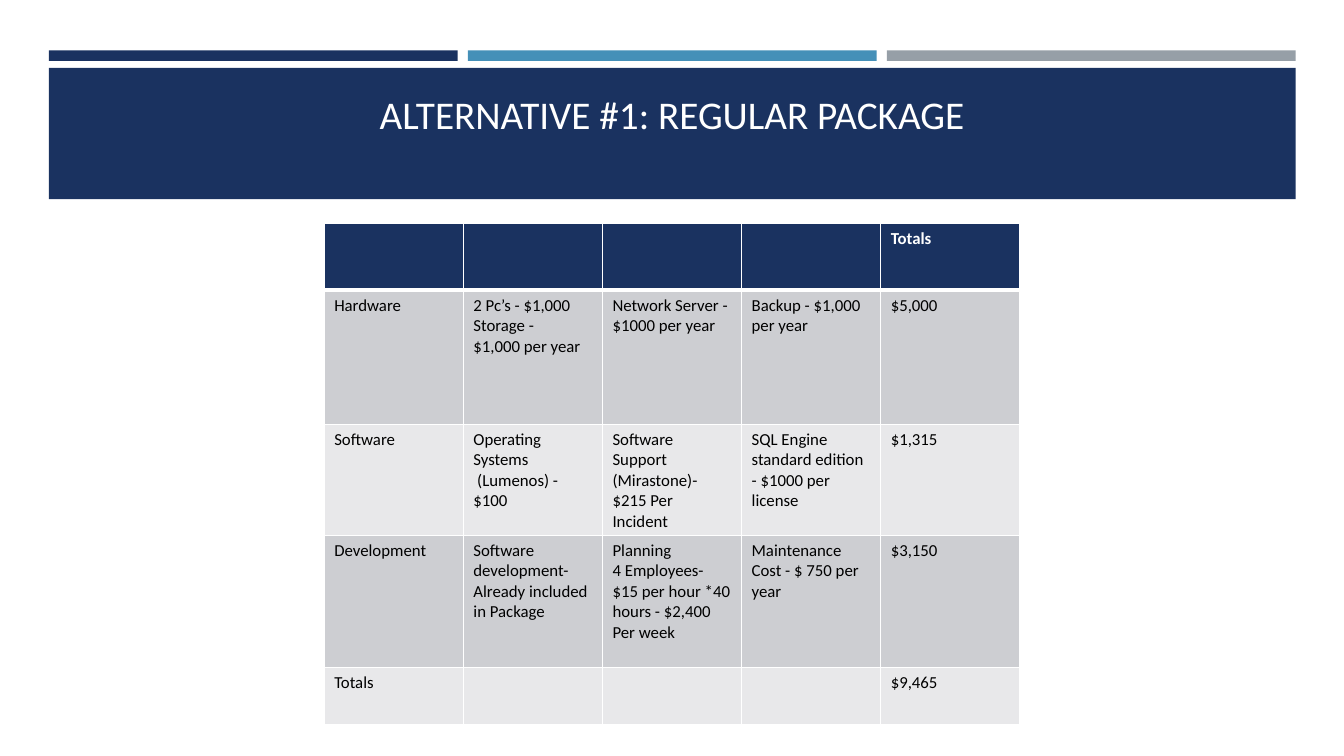
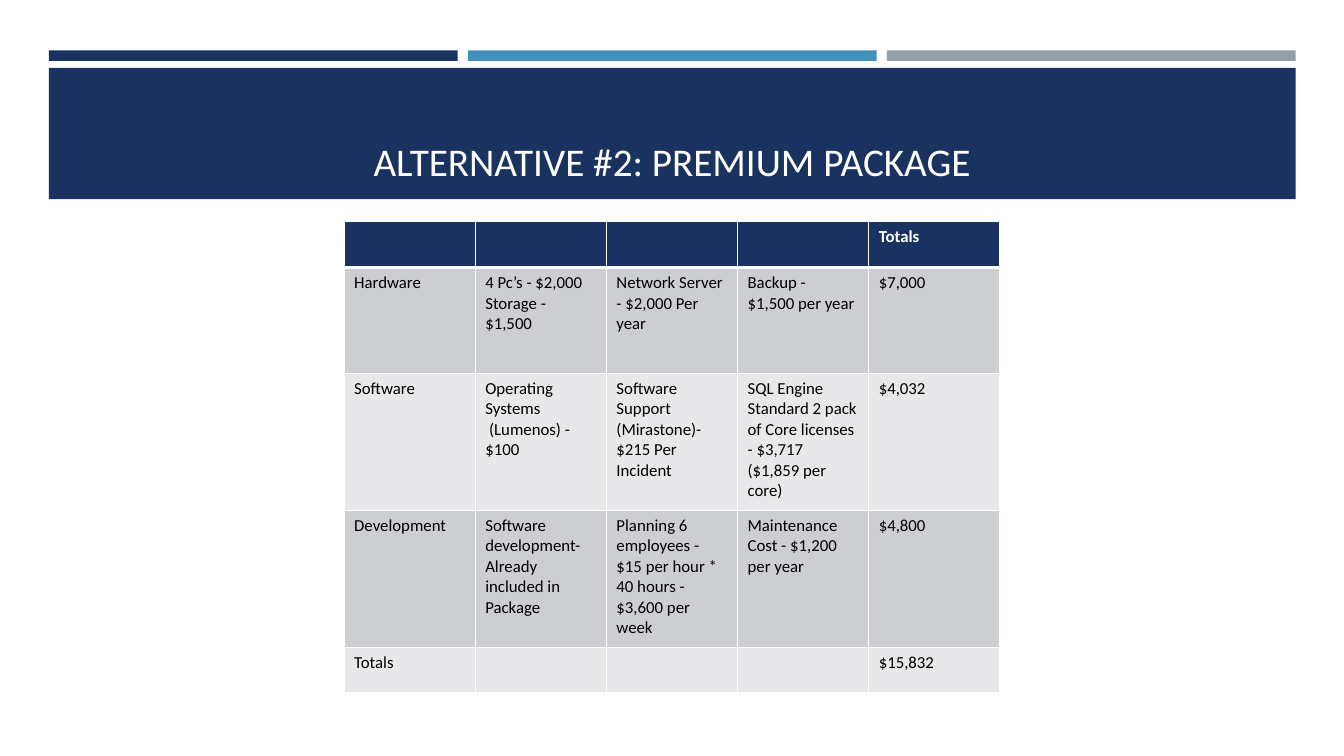
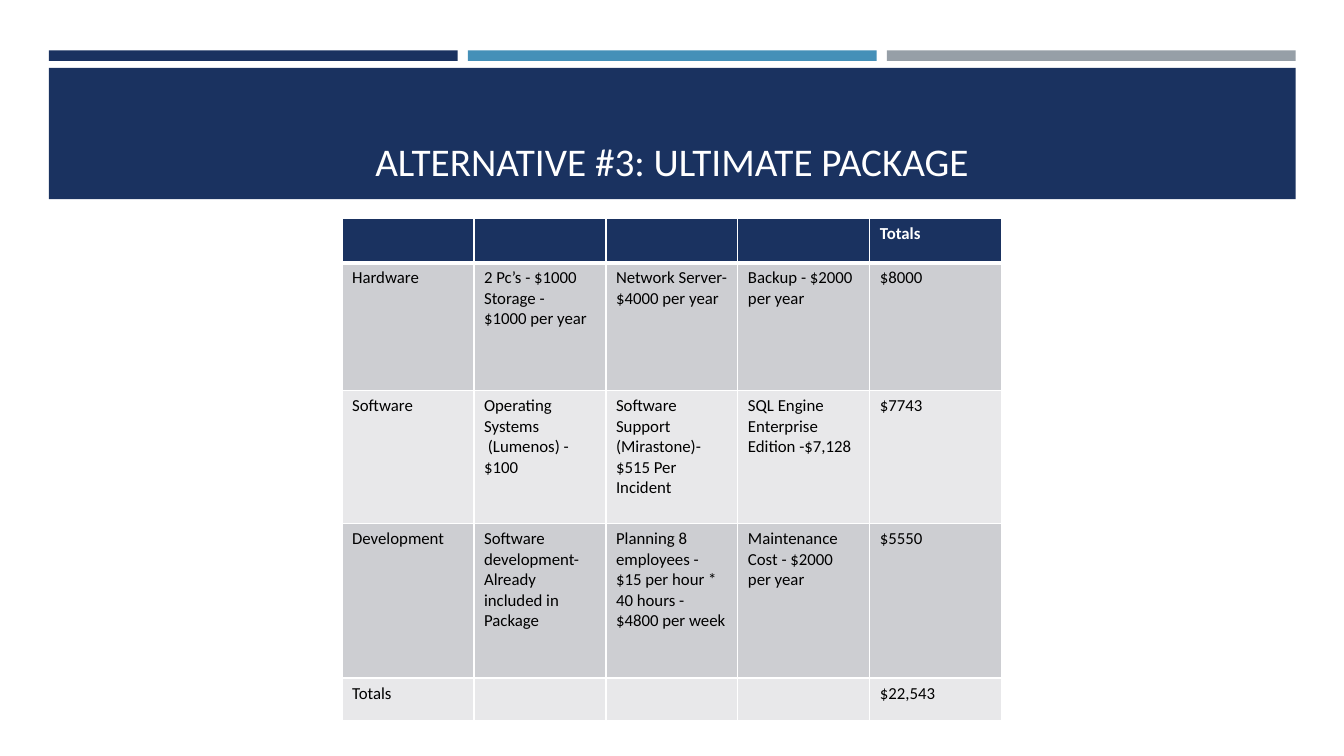
from dataclasses import dataclass

from lxml.etree import SubElement
from pptx import Presentation
from pptx.dml.color import RGBColor
from pptx.enum.shapes import MSO_SHAPE
from pptx.enum.text import MSO_ANCHOR, PP_ALIGN
from pptx.oxml.ns import qn
from pptx.util import Inches, Pt


@dataclass(frozen=True)
class Theme:
    font: str = "Calibri"
    title_size: int = 28
    cell_size: int = 12
    navy: str = "1A3260"
    blue: str = "4590B8"
    grey: str = "969FA7"
    row_fills: tuple = ("CDCED2", "E8E8EA")
    white: str = "FFFFFF"
    black: str = "000000"
    thin_border: int = 1
    header_border: int = 3


@dataclass(frozen=True)
class Package:
    title: str
    title_lift: float
    table_top: float
    table_width: float
    row_heights: tuple
    hardware: tuple
    software: tuple
    development: tuple
    total: str

    def rows(self):
        return (
            ("", "", "", "", "Totals"),
            ("Hardware", *self.hardware),
            ("Software", OPERATING_SYSTEM, *self.software),
            ("Development", INCLUDED, *self.development),
            ("Totals", "", "", "", self.total),
        )


OPERATING_SYSTEM = "Operating Systems\n (Lumenos) - $100"
INCLUDED = "Software development- Already included in Package"
SUPPORT = "Software Support (Mirastone)- ${} Per Incident"

PACKAGES = (
    Package(
        title="ALTERNATIVE #1: REGULAR PACKAGE",
        title_lift=6.25,
        table_top=29.6,
        table_width=51.76,
        row_heights=(8.8, 17.73, 12.4, 17.47, 7.6),
        hardware=(
            "2 Pc’s - $1,000\nStorage -\n$1,000 per year",
            "Network Server - $1000 per year",
            "Backup - $1,000 per year",
            "$5,000",
        ),
        software=(
            SUPPORT.format(215),
            "SQL Engine standard edition - $1000 per license",
            "$1,315",
        ),
        development=(
            "Planning\n4 Employees- $15 per hour *40 hours - $2,400 Per week",
            "Maintenance Cost - $ 750 per year",
            "$3,150",
        ),
        total="$9,465",
    ),
    Package(
        title="ALTERNATIVE #2: PREMIUM PACKAGE",
        title_lift=0,
        table_top=29.3,
        table_width=48.8,
        row_heights=(6.1, 14, 18.13, 18.13, 6),
        hardware=(
            "4 Pc’s - $2,000\nStorage -\n$1,500",
            "Network Server - $2,000 Per year",
            "Backup -\n$1,500 per year",
            "$7,000",
        ),
        software=(
            SUPPORT.format(215),
            "SQL Engine Standard 2 pack of Core licenses - $3,717 ($1,859 per core)",
            "$4,032",
        ),
        development=(
            "Planning 6 employees - $15 per hour * 40 hours - $3,600 per week",
            "Maintenance Cost - $1,200 per year",
            "$4,800",
        ),
        total="$15,832",
    ),
    Package(
        title="ALTERNATIVE #3: ULTIMATE PACKAGE",
        title_lift=0,
        table_top=28.9,
        table_width=49.1,
        row_heights=(5.87, 16.93, 17.6, 20.4, 5.6),
        hardware=(
            "2 Pc’s - $1000\nStorage -\n$1000 per year",
            "Network Server- $4000 per year",
            "Backup - $2000 per year",
            "$8000",
        ),
        software=(
            SUPPORT.format(515),
            "SQL Engine Enterprise Edition -$7,128",
            "$7743",
        ),
        development=(
            "Planning 8 employees - $15 per hour * 40 hours - $4800 per week",
            "Maintenance Cost - $2000 per year",
            "$5550",
        ),
        total="$22,543",
    ),
)


class Deck:
    def __init__(self, theme):
        self.theme = theme
        self.presentation = Presentation()
        self.presentation.slide_width = Inches(13.33)
        self.presentation.slide_height = Inches(7.5)
        self.slide = None

    def across(self, percent):
        return round(self.presentation.slide_width * percent / 100)

    def down(self, percent):
        return round(self.presentation.slide_height * percent / 100)

    def box(self, left, top, width, height):
        return self.across(left), self.down(top), self.across(width), self.down(height)

    def add_slide(self):
        self.slide = self.presentation.slides.add_slide(self.presentation.slide_layouts[6])
        self.add_header()

    def add_header(self):
        left, width, gap = 3.64, 92.76, 0.75
        colors = (self.theme.navy, self.theme.blue, self.theme.grey)
        bar_width = (width - gap * (len(colors) - 1)) / len(colors)
        for index, color in enumerate(colors):
            self.add_rectangle(left + index * (bar_width + gap), 6.67, bar_width, 1.4, color)
        self.add_rectangle(left, 8.98, width, 17.37, self.theme.navy)

    def add_rectangle(self, left, top, width, height, color):
        shape = self.slide.shapes.add_shape(
            MSO_SHAPE.RECTANGLE, *self.box(left, top, width, height)
        )
        shape.shadow.inherit = False
        shape.fill.solid()
        shape.fill.fore_color.rgb = RGBColor.from_string(color)
        shape.line.fill.background()

    def format_text(self, text_frame, size, color, bold=False):
        for paragraph in text_frame.paragraphs:
            for run in paragraph.runs:
                run.font.name = self.theme.font
                run.font.size = Pt(size)
                run.font.bold = bold
                run.font.color.rgb = RGBColor.from_string(color)

    def add_title(self, text, lift):
        shape = self.slide.shapes.add_textbox(*self.box(4.8, 10.27, 90.4, 14.8))
        text_frame = shape.text_frame
        text_frame.word_wrap = True
        text_frame.vertical_anchor = MSO_ANCHOR.BOTTOM
        text_frame.margin_bottom = Inches(0.05) + self.down(lift)
        text_frame.text = text
        text_frame.paragraphs[0].alignment = PP_ALIGN.CENTER
        self.format_text(text_frame, self.theme.title_size, self.theme.white)

    def add_table(self, rows, top, width, row_heights):
        column_count = len(rows[0])
        table = self.slide.shapes.add_table(
            len(rows),
            column_count,
            *self.box((100 - width) / 2, top, width, sum(row_heights)),
        ).table
        for column in table.columns:
            column.width = self.across(width / column_count)
        for row_index, values in enumerate(rows):
            table.rows[row_index].height = self.down(row_heights[row_index])
            for column_index, value in enumerate(values):
                self.fill_cell(table.cell(row_index, column_index), value, row_index)

    def fill_cell(self, cell, value, row_index):
        theme = self.theme
        is_header = row_index == 0
        fill = theme.navy if is_header else theme.row_fills[(row_index - 1) % 2]
        color = theme.white if is_header else theme.black
        top = theme.header_border if row_index == 1 else theme.thin_border
        bottom = theme.header_border if is_header else theme.thin_border
        cell.text_frame.text = value
        self.format_text(cell.text_frame, theme.cell_size, color, is_header)
        self.add_borders(cell, top, bottom)
        cell.fill.solid()
        cell.fill.fore_color.rgb = RGBColor.from_string(fill)

    def add_borders(self, cell, top, bottom):
        properties = cell._tc.get_or_add_tcPr()
        widths = {
            "a:lnL": self.theme.thin_border,
            "a:lnR": self.theme.thin_border,
            "a:lnT": top,
            "a:lnB": bottom,
        }
        for tag, width in widths.items():
            line = SubElement(properties, qn(tag), w=str(Pt(width)))
            solid = SubElement(line, qn("a:solidFill"))
            SubElement(solid, qn("a:srgbClr"), val=self.theme.white)


def main():
    deck = Deck(Theme())
    for package in PACKAGES:
        deck.add_slide()
        deck.add_title(package.title, package.title_lift)
        deck.add_table(
            package.rows(), package.table_top, package.table_width, package.row_heights
        )
    deck.presentation.save("out.pptx")


if __name__ == "__main__":
    main()
